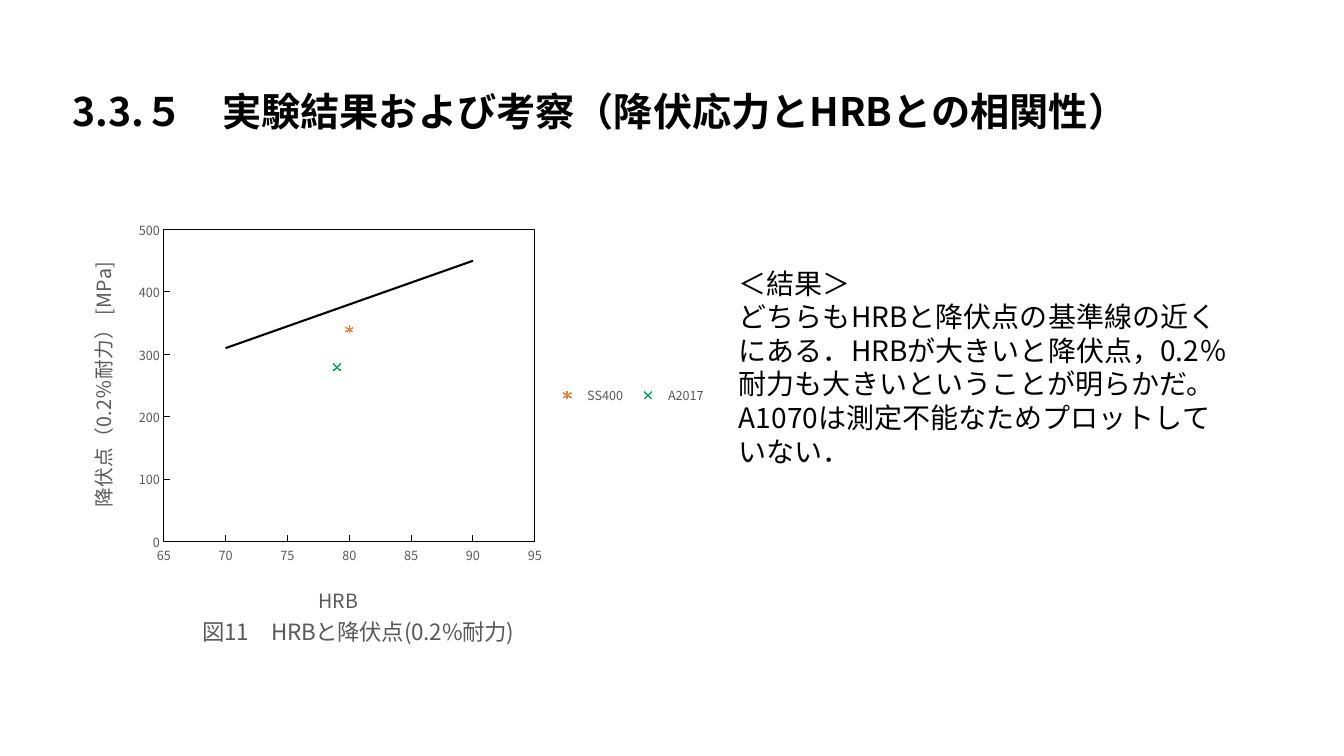
from lxml.etree import SubElement
from pptx import Presentation
from pptx.chart.data import XyChartData
from pptx.dml.color import RGBColor
from pptx.enum.chart import XL_CHART_TYPE as ChartType
from pptx.enum.chart import XL_LEGEND_POSITION as LegendPosition
from pptx.enum.chart import XL_MARKER_STYLE as Marker
from pptx.enum.chart import XL_TICK_MARK as TickMark
from pptx.enum.text import MSO_AUTO_SIZE as AutoSize
from pptx.oxml import parse_xml
from pptx.oxml.ns import nsdecls, qn
from pptx.util import Inches, Pt

FONT = "Noto Sans CJK JP"
BLACK, GREY = "000000", "595959"
BLACK_LINE = '<a:ln w="{}"><a:solidFill><a:srgbClr val="000000"/></a:solidFill></a:ln>'


def color(value):
    return RGBColor.from_string(value)


def layout_xml(x, y, width=None, height=None, inner=False):
    """Manual chart layout in fractions of the chart area."""
    target = '<c:layoutTarget val="inner"/>' if inner else ""
    sizes = "" if width is None else f'<c:w val="{width}"/><c:h val="{height}"/>'
    return parse_xml(
        f'<c:layout {nsdecls("c")}><c:manualLayout>{target}'
        f'<c:xMode val="edge"/><c:yMode val="edge"/>'
        f'<c:x val="{x}"/><c:y val="{y}"/>{sizes}</c:manualLayout></c:layout>')


def place(element, layout, after):
    """Swap the layout of a chart part, keeping the schema order."""
    for old in element.findall(qn("c:layout")):
        element.remove(old)
    previous = element.findall(qn(after)) if after else []
    if previous:
        previous[-1].addnext(layout)
    else:
        element.insert(0, layout)


class SlideBuilder:
    def __init__(self, slide):
        self.slide = slide

    def style(self, font, size, font_color=BLACK, bold=False):
        formats = {"name": FONT, "size": Pt(size), "bold": bold}
        for name, value in formats.items():
            setattr(font, name, value)
        font.color.rgb = color(font_color)

    def text(self, box, paragraphs, size, bold=False):
        shape = self.slide.shapes.add_textbox(*map(Inches, box))
        frame = shape.text_frame
        frame.word_wrap = True
        frame.auto_size = AutoSize.SHAPE_TO_FIT_TEXT
        for index, content in enumerate(paragraphs):
            paragraph = frame.paragraphs[0] if index == 0 else frame.add_paragraph()
            run = paragraph.add_run()
            run.text = content
            self.style(run.font, size, bold=bold)
            SubElement(run.font._element, qn("a:ea"), typeface=FONT)

    def chart_title(self, owner, content, size, x, y):
        title = owner.chart_title if hasattr(owner, "chart_title") else owner.axis_title
        paragraph = title.text_frame.paragraphs[0]
        run = paragraph.add_run()
        run.text = content
        self.style(run.font, size, GREY)
        SubElement(run.font._element, qn("a:ea"), typeface=FONT)
        place(title._element, layout_xml(x, y), "c:tx")
        return title

    def axis(self, axis, low, high, step):
        formats = {
            "minimum_scale": low, "maximum_scale": high, "major_unit": step,
            "has_major_gridlines": False, "has_minor_gridlines": False,
            "major_tick_mark": TickMark.INSIDE, "minor_tick_mark": TickMark.NONE,
        }
        for name, value in formats.items():
            setattr(axis, name, value)
        axis.format.line.color.rgb = color(BLACK)
        axis.format.line.width = Pt(0.75)
        self.style(axis.tick_labels.font, 9, GREY)
        axis.tick_labels.number_format = "General"
        axis.tick_labels.number_format_is_linked = False

    def scatter(self, box, series_points):
        data = XyChartData()
        for name, points in series_points.items():
            series = data.add_series(name)
            for x, y in points:
                series.add_data_point(x, y)
        frame = self.slide.shapes.add_chart(
            ChartType.XY_SCATTER, *map(Inches, box), data)
        chart = frame.chart
        self.style(chart.font, 10)
        chart.plots[0].vary_by_categories = False
        return chart

    def marker(self, series, kind, line_color=None):
        series.format.line.fill.background()
        series.smooth = False
        series.marker.style = kind
        if line_color:
            series.marker.size = 5
            series.marker.format.fill.background()
            series.marker.format.line.color.rgb = color(line_color)
            series.marker.format.line.width = Pt(0.75)

    def trend_line(self, series):
        series._element.find(qn("c:xVal")).addprevious(parse_xml(
            f'<c:trendline {nsdecls("c", "a")}><c:spPr>{BLACK_LINE.format(19050)}</c:spPr>'
            '<c:trendlineType val="linear"/><c:dispRSqr val="0"/><c:dispEq val="0"/>'
            '</c:trendline>'))

    def plot_frame(self, chart, layout):
        area = chart._chartSpace.chart.plotArea
        place(area, layout, None)
        area.append(parse_xml(
            f'<c:spPr {nsdecls("c", "a")}><a:noFill/>{BLACK_LINE.format(9525)}</c:spPr>'))

    def legend(self, chart, hidden, layout):
        chart.has_legend = True
        legend = chart.legend
        legend.position = LegendPosition.RIGHT
        legend.include_in_layout = False
        self.style(legend.font, 9, GREY)
        position = legend._element.find(qn("c:legendPos"))
        for index in reversed(hidden):
            position.addnext(parse_xml(
                f'<c:legendEntry {nsdecls("c")}><c:idx val="{index}"/>'
                '<c:delete val="1"/></c:legendEntry>'))
        place(legend._element, layout, "c:legendEntry")


def main():
    presentation = Presentation()
    presentation.slide_width = Inches(13.33)
    presentation.slide_height = Inches(7.5)
    builder = SlideBuilder(presentation.slides.add_slide(presentation.slide_layouts[6]))

    # Findings
    builder.text((7.23, 2.59, 5.1, 2.79), [
        "＜結果＞",
        "どちらもHRBと降伏点の基準線の近くにある．HRBが大きいと降伏点，0.2％耐力も大きいということが明らかだ。",
        "A1070は測定不能なためプロットしていない．",
    ], 20)

    # Heading
    builder.text((0.62, 0.82, 10.76, 0.88),
                 ["3.3.５\u3000実験結果および考察（降伏応力とHRBとの相関性）".replace("\u3000", "　")],
                 28, bold=True)

    # Hardness against yield point
    chart = builder.scatter((0.13, 1.85, 11.5, 4.76), {
        "Series 1": [(70, 300), (75, 350), (80, 390), (85, 420), (90, 440)],
        "SS400": [(80, 340)],
        "A2017": [(79, 280)],
    })
    reference, steel, aluminium = chart.plots[0].series
    builder.marker(reference, Marker.NONE)
    builder.trend_line(reference)
    builder.marker(steel, Marker.STAR, "ED7D31")
    builder.marker(aluminium, Marker.X, "00B050")

    # Axes, titles and legend
    builder.axis(chart.category_axis, 65, 95, 5)
    builder.axis(chart.value_axis, 0, 500, 100)
    builder.chart_title(chart, "図11　HRBと降伏点(0.2%耐力)", 16, 0.16, 0.88)
    builder.chart_title(chart.category_axis, "HRB", 14, 0.26, 0.82)
    value_title = builder.chart_title(
        chart.value_axis, "降伏点（0.2％耐力） [MPa]", 14, 0.06, 0.15)
    body = value_title.text_frame._txBody.find(qn("a:bodyPr"))
    for name, value in {"rot": "-5400000", "vert": "horz"}.items():
        body.set(name, value)
    builder.plot_frame(chart, layout_xml(0.13, 0.09, 0.32, 0.65, inner=True))
    builder.legend(chart, [0, 3], layout_xml(0.46, 0.4, 0.14, 0.07))

    presentation.save("out.pptx")


if __name__ == "__main__":
    main()
